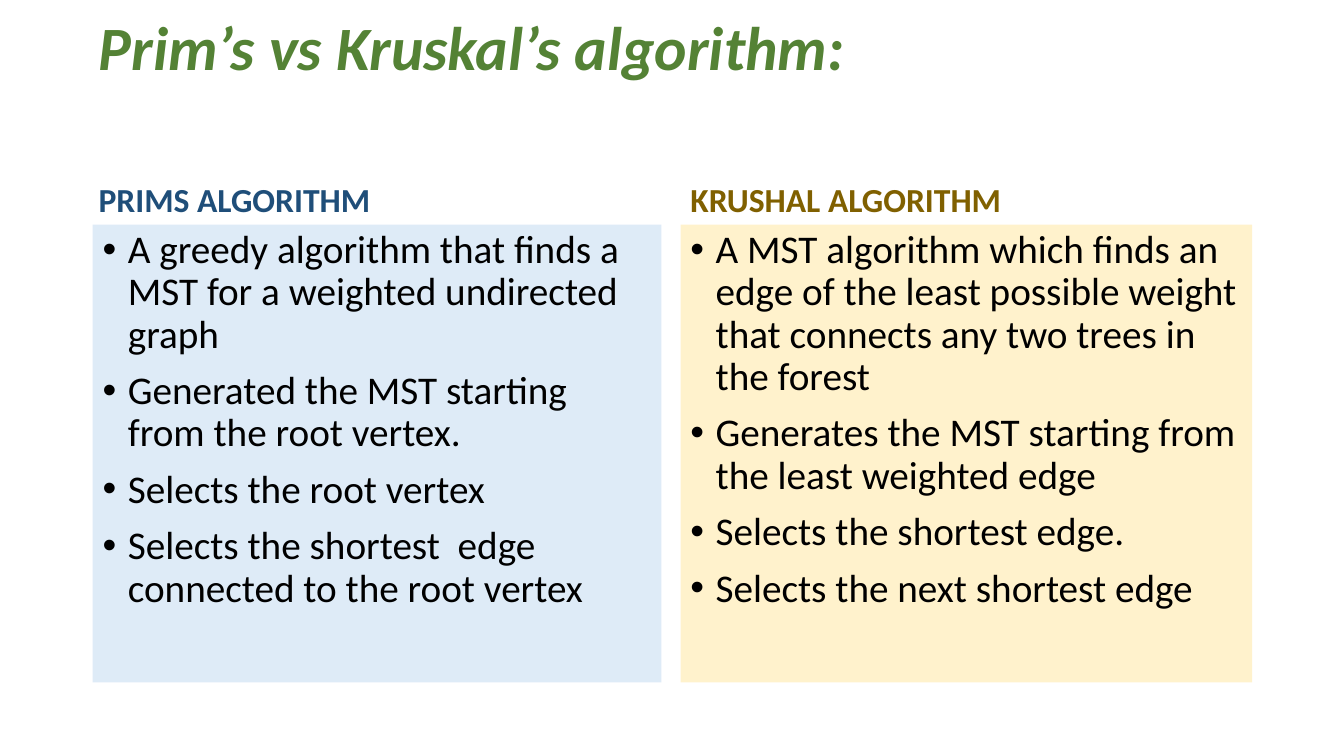
from lxml.etree import SubElement as Sub
from pptx import Presentation
from pptx.dml.color import RGBColor as RGB
from pptx.enum.shapes import MSO_SHAPE as Shape
from pptx.enum.text import MSO_ANCHOR as Anchor, PP_ALIGN as Align
from pptx.oxml.ns import qn
from pptx.util import Pt

PX = 9144
GREEN = RGB(0x54, 0x82, 0x35)
NAVY = RGB(0x1F, 0x4E, 0x79)
OCHRE = RGB(0x80, 0x60, 0x00)
BLACK = RGB(0, 0, 0)
SKY = RGB(0xDE, 0xEB, 0xF7)
CREAM = RGB(0xFF, 0xF2, 0xCC)

PRIM = [
    "A greedy algorithm that finds a MST for a weighted undirected graph",
    "Generated the MST starting from the root vertex.",
    "Selects the root vertex",
    "Selects the shortest  edge connected to the root vertex",
]
KRUSKAL = [
    "A MST algorithm which finds an edge of the least possible weight "
    "that connects any two trees in the forest",
    "Generates the MST starting from the least weighted edge",
    "Selects the shortest edge.",
    "Selects the next shortest edge",
]


class Deck:
    font = "Calibri"
    para = {"line_spacing": 0.9, "alignment": Align.LEFT}
    pad = {"margin_left": 10 * PX, "margin_right": 10 * PX,
           "margin_top": 5 * PX, "margin_bottom": 5 * PX, "word_wrap": True}

    def __init__(self, wide, high):
        self.prs = Presentation()
        self.prs.slide_width = wide * PX
        self.prs.slide_height = high * PX
        self.slide = self.prs.slides.add_slide(self.prs.slide_layouts[6])

    def apply(self, item, style):
        for key, val in style.items():
            setattr(item, key, val)

    def fill_text(self, frame, lines, anchor, size, color, gap=0, dots=False, **style):
        self.apply(frame, {**self.pad, "vertical_anchor": anchor})
        for num, line in enumerate(lines):
            para = frame.add_paragraph() if num else frame.paragraphs[0]
            self.apply(para, {**self.para, "space_before": Pt(gap)})
            run = para.add_run()
            run.text = line
            self.apply(run.font, {"name": self.font, "size": Pt(size), **style})
            run.font.color.rgb = color
            if dots:
                self.dot(para)

    def dot(self, para):
        props = para._p.get_or_add_pPr()
        props.set("marL", str(25 * PX))
        props.set("indent", str(-25 * PX))
        Sub(props, qn("a:buFont"), typeface="Arial")
        Sub(props, qn("a:buChar"), char="•")

    def label(self, box, text, **style):
        shape = self.slide.shapes.add_textbox(*(n * PX for n in box))
        self.fill_text(shape.text_frame, [text], **style)

    def panel(self, box, fill, lines):
        shape = self.slide.shapes.add_shape(Shape.RECTANGLE, *(n * PX for n in box))
        shape.shadow.inherit = False
        shape.fill.solid()
        shape.fill.fore_color.rgb = fill
        shape.line.fill.background()
        self.fill_text(shape.text_frame, lines, Anchor.TOP, 28, BLACK, gap=10, dots=True)


def main():
    deck = Deck(1333, 750)
    deck.label((88, 6, 1150, 89), "Prim’s vs Kruskal’s algorithm:",
               anchor=Anchor.MIDDLE, size=44, color=GREEN, bold=True, italic=True)
    for head, lines, left, edge, wide, ink, fill in [
        ("PRIMS ALGORITHM", PRIM, 88, 92, 564, NAVY, SKY),
        ("KRUSHAL ALGORITHM", KRUSKAL, 675, 675, 567, OCHRE, CREAM),
    ]:
        deck.label((left, 133, wide, 90), head, anchor=Anchor.BOTTOM,
                   size=24, color=ink, gap=10, bold=True)
        deck.panel((edge, 223, wide, 454), fill, lines)
    deck.prs.save("out.pptx")


if __name__ == "__main__":
    main()
